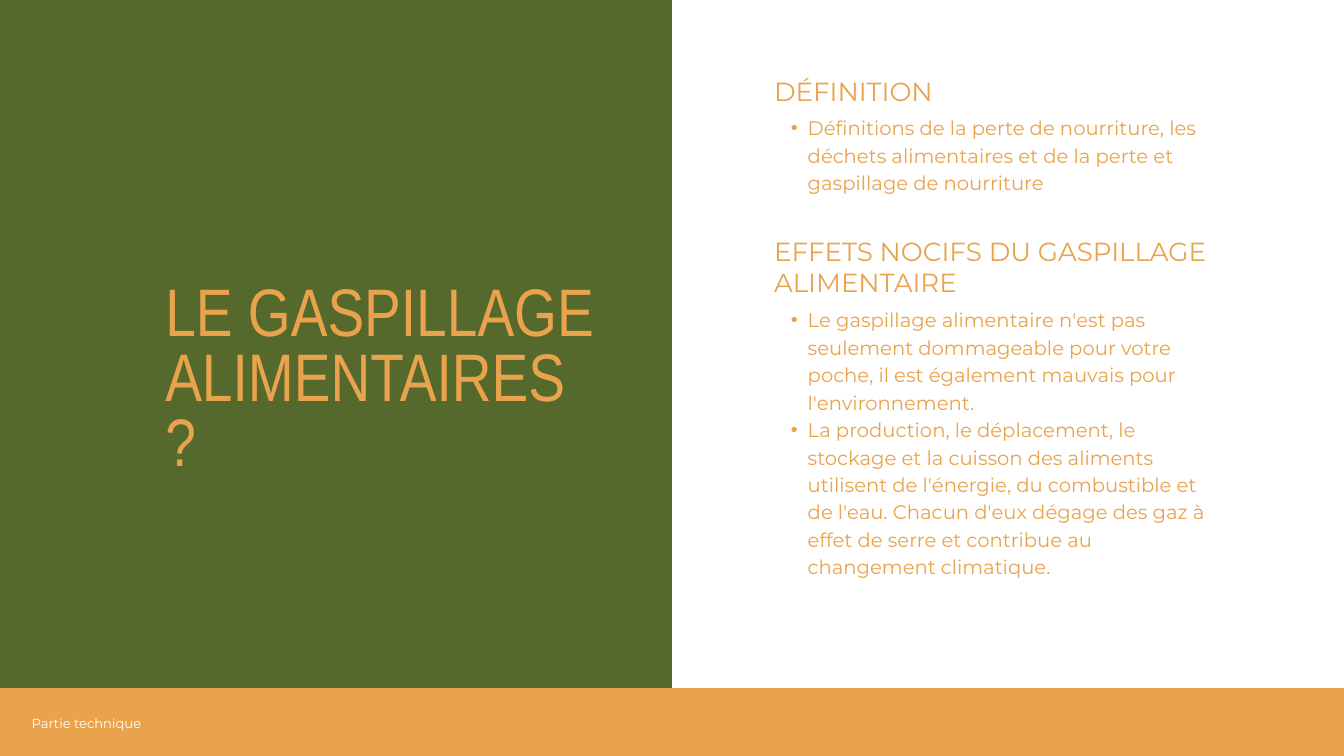
"""Build the slide on food waste: title panel, two text sections and a footer band."""
from lxml.etree import SubElement
from pptx import Presentation
from pptx.dml.color import RGBColor
from pptx.enum.shapes import MSO_SHAPE
from pptx.enum.text import MSO_ANCHOR, MSO_AUTO_SIZE, PP_ALIGN
from pptx.oxml.ns import qn
from pptx.util import Inches, Pt

GREEN, ORANGE, WHITE = "55692D", "E9A34D", "FFFFFF"
SLIDE_WIDTH, SLIDE_HEIGHT = 20, 11.25
FOOTER_TOP = 10.24
COLUMN_LEFT, COLUMN_WIDTH = 11.52, 6.47
HEADING_GAP = 0.06

TITLE = "LE GASPILLAGE ALIMENTAIRES ?"
FOOTER = "Partie technique"
SECTIONS = [
    {
        "heading": "DÉFINITION",
        "top": 1.13,
        "heading_height": 0.48,
        "points_height": 1.19,
        "points": [
            "Définitions de la perte de nourriture, les déchets alimentaires "
            "et de la perte et gaspillage de nourriture",
        ],
    },
    {
        "heading": "EFFETS NOCIFS DU GASPILLAGE ALIMENTAIRE",
        "top": 3.51,
        "heading_height": 0.96,
        "points_height": 4.04,
        "points": [
            "Le gaspillage alimentaire n'est pas seulement dommageable pour "
            "votre poche, il est également mauvais pour l'environnement.",
            "La production, le déplacement, le stockage et la cuisson des "
            "aliments utilisent de l'énergie, du combustible et de l'eau. "
            "Chacun d'eux dégage des gaz à effet de serre et contribue au "
            "changement climatique.",
        ],
    },
]

STYLES = {
    "title": ("Arial Narrow", 72, 69.8, ORANGE),
    "heading": ("Montserrat", 28, 33, ORANGE),
    "point": ("Montserrat", 21, 29.4, ORANGE),
    "footer": ("Montserrat", 14, 19.6, WHITE),
}


def color(hex_value):
    """Turn a hex string into a colour."""
    return RGBColor.from_string(hex_value)


def add_panel(slide, left, top, width, height, fill):
    """Add a plain filled rectangle."""
    panel = slide.shapes.add_shape(
        MSO_SHAPE.RECTANGLE, Inches(left), Inches(top), Inches(width), Inches(height)
    )
    panel.shadow.inherit = False
    panel.fill.solid()
    panel.fill.fore_color.rgb = color(fill)
    panel.line.fill.background()


def add_bullet(paragraph):
    """Give a paragraph a hanging bullet."""
    paragraph.level = 1
    properties = paragraph._p.get_or_add_pPr()
    properties.set("marL", str(Inches(0.5)))
    properties.set("indent", str(Inches(-0.25)))
    SubElement(properties, qn("a:buFont"), typeface="Arial")
    SubElement(properties, qn("a:buChar"), char="•")


def write(frame, texts, style):
    """Fill a text frame with one paragraph per text in the given style."""
    font_name, size, spacing, font_color = STYLES[style]
    frame.word_wrap = True
    frame.auto_size = MSO_AUTO_SIZE.NONE
    frame.vertical_anchor = MSO_ANCHOR.TOP
    frame.margin_left = frame.margin_right = frame.margin_top = frame.margin_bottom = 0
    for index, text in enumerate(texts):
        paragraph = frame.add_paragraph() if index else frame.paragraphs[0]
        paragraph.alignment = PP_ALIGN.LEFT
        paragraph.line_spacing = Pt(spacing)
        paragraph.space_before = Pt(0)
        if style == "point":
            add_bullet(paragraph)
        run = paragraph.add_run()
        run.text = text
        run.font.name = font_name
        run.font.size = Pt(size)
        run.font.color.rgb = color(font_color)


def add_text(slide, left, top, width, height, texts, style):
    """Add a text box in the given style."""
    box = slide.shapes.add_textbox(
        Inches(left), Inches(top), Inches(width), Inches(height)
    )
    write(box.text_frame, texts, style)


def main():
    """Compose and save the slide."""
    deck = Presentation()
    deck.slide_width, deck.slide_height = Inches(SLIDE_WIDTH), Inches(SLIDE_HEIGHT)
    slide = deck.slides.add_slide(deck.slide_layouts[5])

    add_panel(slide, 0, 0, SLIDE_WIDTH / 2, SLIDE_HEIGHT, GREEN)
    add_panel(slide, 0, FOOTER_TOP, SLIDE_WIDTH, SLIDE_HEIGHT - FOOTER_TOP, ORANGE)
    add_text(slide, 0.47, 10.61, 19.11, 0.26, [FOOTER], "footer")

    title = slide.shapes.title
    title.left, title.top = Inches(2.46), Inches(4.24)
    title.width, title.height = Inches(COLUMN_WIDTH), Inches(1.99)
    write(title.text_frame, [TITLE], "title")
    slide.shapes._spTree.append(title._element)

    for section in SECTIONS:
        top, heading_height = section["top"], section["heading_height"]
        add_text(slide, COLUMN_LEFT, top, COLUMN_WIDTH, heading_height,
                 [section["heading"]], "heading")
        add_text(slide, COLUMN_LEFT, top + heading_height + HEADING_GAP, COLUMN_WIDTH,
                 section["points_height"], section["points"], "point")

    deck.save("out.pptx")


if __name__ == "__main__":
    main()
